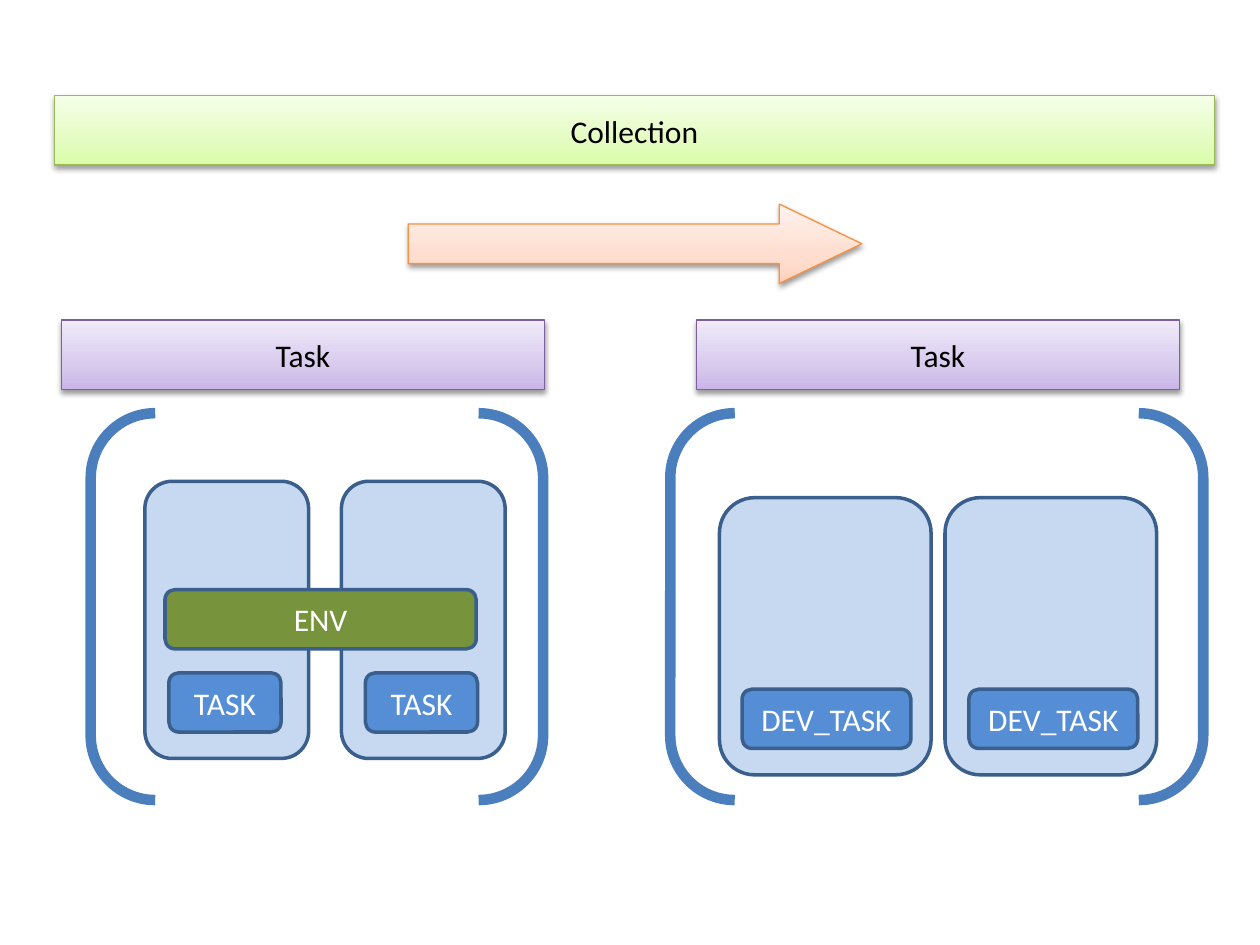
from lxml import etree
from pptx import Presentation
from pptx.dml.color import RGBColor
from pptx.enum.shapes import MSO_SHAPE
from pptx.enum.text import MSO_ANCHOR, PP_ALIGN
from pptx.oxml import parse_xml
from pptx.oxml.ns import nsdecls, qn
from pptx.util import Inches, Pt

RECT = MSO_SHAPE.RECTANGLE
ROUND = MSO_SHAPE.ROUNDED_RECTANGLE
PAIR = MSO_SHAPE.DOUBLE_BRACKET
ARROW = MSO_SHAPE.RIGHT_ARROW
MIDDLE = MSO_ANCHOR.MIDDLE
CENTER = PP_ALIGN.CENTER

PALE, BLUE, GREEN, EDGE = "C6D9F1", "558ED5", "77933C", "3A5F8C"
LIME = ["DAFDA7", "E4FCC2", "F5FFE7"]
LILAC = ["C9B5E8", "D8CBEE", "F0EAF9"]
PEACH = ["FFD2BD", "FFDED0", "FFF2ED"]

prs = Presentation()
prs.slide_width, prs.slide_height = Inches(10), Inches(7.5)
slide = prs.slides.add_slide(prs.slide_layouts[6])


def draw(kind, box, fill, edge, width, text="", ink="FFFFFF"):
    """Add a shape; fill is a hex colour or None for no fill."""
    shape = slide.shapes.add_shape(kind, *[Inches(n) for n in box])
    shape.shadow.inherit = False
    if fill:
        shape.fill.solid()
        shape.fill.fore_color.rgb = RGBColor.from_string(fill)
    else:
        shape.fill.background()
    shape.line.color.rgb = RGBColor.from_string(edge)
    shape.line.width = Pt(width)
    if text:
        frame = shape.text_frame
        frame.word_wrap = True
        frame.vertical_anchor = MIDDLE
        para = frame.paragraphs[0]
        para.alignment = CENTER
        run = para.add_run()
        run.text = text
        run.font.name, run.font.size = "Calibri", Pt(18)
        run.font.color.rgb = RGBColor.from_string(ink)
    return shape


def shade(shape, tones):
    """Give a shape an upward three-tone gradient and a soft drop shadow."""
    props = shape.fill._xPr
    grad = parse_xml(f'<a:gradFill {nsdecls("a")} rotWithShape="1"><a:gsLst/>'
                     '<a:lin ang="16200000" scaled="0"/></a:gradFill>')
    for pos, tone in zip((0, 35, 100), tones):
        stop = etree.SubElement(grad[0], qn("a:gs"), pos=str(pos * 1000))
        etree.SubElement(stop, qn("a:srgbClr"), val=tone)
    props.replace(props.find(qn("a:solidFill")), grad)
    props.find(qn("a:effectLst")).append(parse_xml(
        f'<a:outerShdw {nsdecls("a")} blurRad="40000" dist="20000" '
        'dir="5400000" rotWithShape="0"><a:srgbClr val="000000">'
        '<a:alpha val="38000"/></a:srgbClr></a:outerShdw>'))


# Nodes, each with a task inside: left, top, width, inset, task width, label
nodes = [
    (1.15, 3.82, 1.3, 0.19, 0.89, "TASK"),
    (2.71, 3.82, 1.3, 0.19, 0.89, "TASK"),
    (5.71, 3.95, 1.68, 0.18, 1.34, "DEV_TASK"),
    (7.5, 3.95, 1.68, 0.19, 1.34, "DEV_TASK"),
]
for left, top, wide, inset, size, label in nodes:
    draw(ROUND, (left, top, wide, 2.2), PALE, EDGE, 2)
    draw(ROUND, (left + inset, top + 1.52, size, 0.47), BLUE, EDGE, 2, label)

draw(ROUND, (1.31, 4.68, 2.47, 0.47), GREEN, EDGE, 2, "ENV")

for left, wide in ((0.72, 3.59), (5.32, 4.23)):
    draw(PAIR, (left, 3.28, wide, 3.07), None, "4B7EBC", 6)

# Shaded bars: box, tones, edge, label
bars = [
    ((0.43, 0.76, 9.21, 0.55), LIME, "98B955", "Collection"),
    ((0.49, 2.54, 3.83, 0.55), LILAC, "7D60A0", "Task"),
    ((5.53, 2.54, 3.83, 0.55), LILAC, "7D60A0", "Task"),
]
for box, tones, edge, label in bars:
    shade(draw(RECT, box, tones[0], edge, 0.75, label, "000000"), tones)

arrow = draw(ARROW, (3.24, 1.62, 3.6, 0.63), PEACH[0], "F69240", 0.75)
arrow.adjustments[1] = 1.04
shade(arrow, PEACH)

prs.save("out.pptx")
